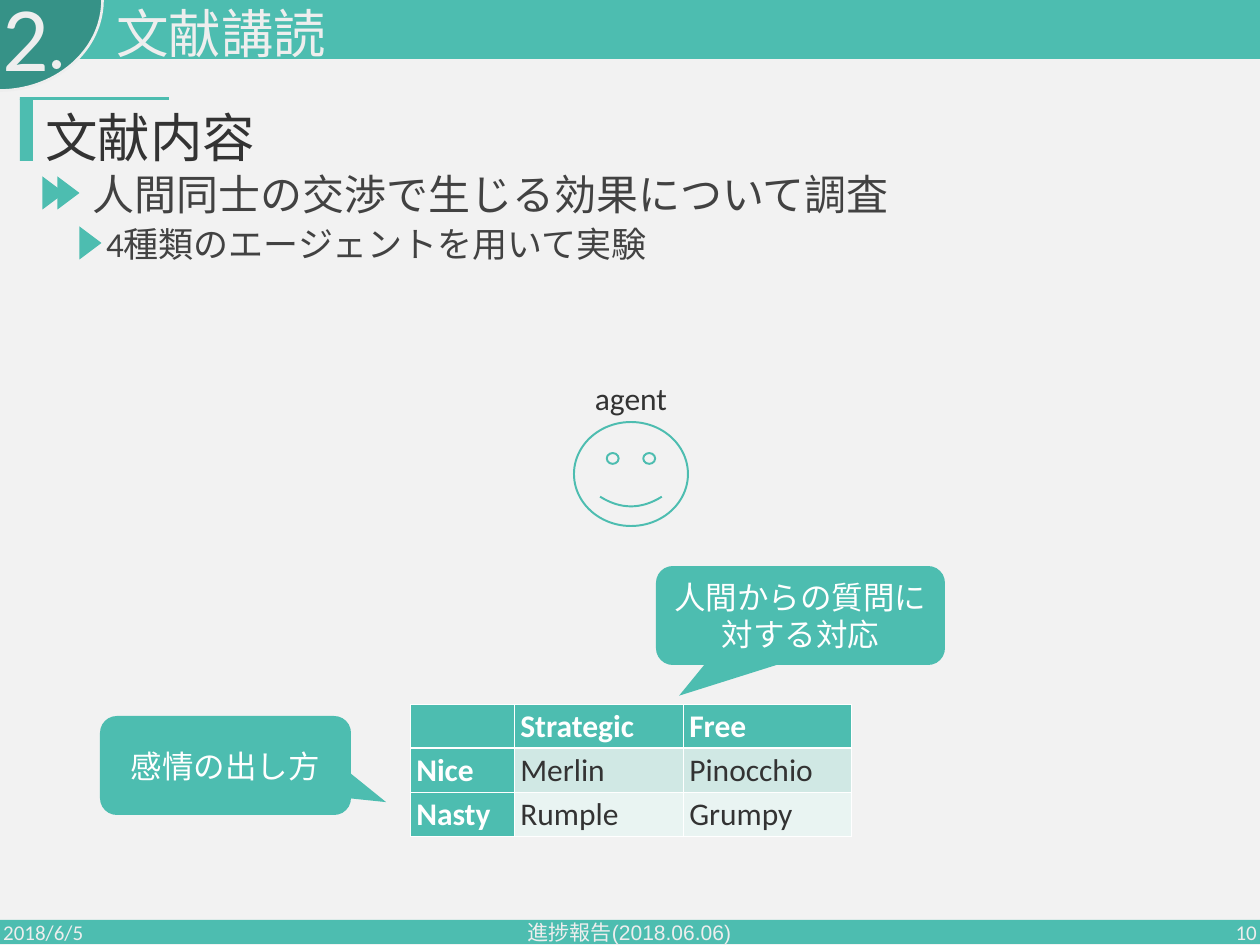
"""Builds the literature review slide with its agent table and callouts."""
import dataclasses

import lxml.etree
import pptx
import pptx.dml.color
import pptx.enum.shapes
import pptx.enum.text
import pptx.oxml.ns
import pptx.util

SHAPES = pptx.enum.shapes.MSO_SHAPE
ALIGN = pptx.enum.text.PP_ALIGN
ANCHOR = pptx.enum.text.MSO_ANCHOR


@dataclasses.dataclass(frozen=True)
class Theme:
    """Colours, fonts and type sizes."""
    background: str = "F2F2F2"
    accent: str = "4DBDB0"
    badge: str = "369287"
    light: str = "EEEEEE"
    white: str = "FFFFFF"
    dark: str = "333333"
    gray: str = "424242"
    bands: tuple = ("D0E8E4", "E9F4F2")
    font: str = "Calibri"
    footer_font: str = "Arial"
    number: int = 105
    title: int = 60
    point: int = 48
    subpoint: int = 40
    label: int = 36
    footer: int = 24


THEME = Theme()


def px(pixels):
    """Convert pixels to EMU at 63 pixels to the inch."""
    return pptx.util.Emu(round(pixels * 914400 / 63))


def rgb(colour):
    """Return the colour object for a hex string."""
    return pptx.dml.color.RGBColor.from_string(colour)


def write(frame, text, size=THEME.label, colour=THEME.dark, font=THEME.font,
          bold=False, align=ALIGN.LEFT, anchor=ANCHOR.TOP, line=None, before=None):
    """Put one formatted paragraph into a text frame."""
    frame.word_wrap = True
    frame.vertical_anchor = anchor
    paragraph = frame.paragraphs[0]
    paragraph.alignment = align
    if line:
        paragraph.line_spacing = line
    if before:
        paragraph.space_before = pptx.util.Pt(before)
    run = paragraph.add_run()
    run.text = text
    run.font.name = font
    run.font.size = pptx.util.Pt(size)
    run.font.bold = bold
    run.font.color.rgb = rgb(colour)


class SlideBuilder:
    """Adds styled elements to the current slide."""

    def __init__(self, slide, theme):
        """Keep the slide and theme and paint the background."""
        self.slide = slide
        self.theme = theme
        slide.background.fill.solid()
        slide.background.fill.fore_color.rgb = rgb(theme.background)

    def shape(self, kind, box, fill=THEME.accent, line=None, width=1, rotation=0):
        """Add a preset shape."""
        shape = self.slide.shapes.add_shape(kind, *map(px, box))
        shape.shadow.inherit = False
        shape.rotation = rotation
        if fill:
            shape.fill.solid()
            shape.fill.fore_color.rgb = rgb(fill)
        else:
            shape.fill.background()
        if line:
            shape.line.color.rgb = rgb(line)
            shape.line.width = pptx.util.Pt(width)
        else:
            shape.line.fill.background()
        return shape

    def text(self, text, box, **style):
        """Add a wrapping text box."""
        write(self.slide.shapes.add_textbox(*map(px, box)).text_frame, text, **style)

    def heading(self, text, box, **style):
        """Add a text box with the spacing of outline text."""
        self.text(text, box, line=0.9, before=20, **style)

    def marker(self, left, top):
        """Add a right-pointing triangle bullet."""
        self.shape(SHAPES.ISOSCELES_TRIANGLE, (left, top, 33, 22), rotation=90)

    def callout(self, text, box, tip):
        """Add a rounded callout whose tip is given relative to its size."""
        shape = self.shape(SHAPES.ROUNDED_RECTANGULAR_CALLOUT, box)
        for index, value in enumerate((*tip, 0.17)):
            shape.adjustments[index] = value
        write(shape.text_frame, text, colour=self.theme.white,
              align=ALIGN.CENTER, anchor=ANCHOR.MIDDLE)

    def borders(self, cell, bottom):
        """Draw white borders around a table cell."""
        properties = cell._tc.get_or_add_tcPr()
        for index, (side, width) in enumerate(zip("LRTB", (1, 1, 1, bottom))):
            line = lxml.etree.Element(pptx.oxml.ns.qn(f"a:ln{side}"),
                                      w=str(pptx.util.Pt(width)))
            fill = lxml.etree.SubElement(line, pptx.oxml.ns.qn("a:solidFill"))
            lxml.etree.SubElement(fill, pptx.oxml.ns.qn("a:srgbClr"),
                                  val=self.theme.white)
            properties.insert(index, line)

    def table(self, rows, left, top, widths, height):
        """Add a table with a header row, a header column and banded rows."""
        table = self.slide.shapes.add_table(
            len(rows), len(widths), px(left), px(top),
            px(sum(widths)), px(height * len(rows))).table
        for column, width in zip(table.columns, widths):
            column.width = px(width)
        for row_index, row in enumerate(rows):
            table.rows[row_index].height = px(height)
            for column_index, text in enumerate(row):
                cell = table.cell(row_index, column_index)
                header = row_index == 0 or column_index == 0
                cell.fill.solid()
                cell.fill.fore_color.rgb = rgb(
                    self.theme.accent if header else self.theme.bands[row_index - 1])
                self.borders(cell, 3 if row_index == 0 else 1)
                write(cell.text_frame, text, bold=header,
                      colour=self.theme.white if header else self.theme.dark)


def main():
    """Build and save the slide."""
    presentation = pptx.Presentation()
    presentation.slide_width, presentation.slide_height = px(1260), px(945)
    slide = presentation.slides.add_slide(presentation.slide_layouts[6])
    builder = SlideBuilder(slide, THEME)

    for bar in ((0, 920, 1260, 24), (0, 0, 1260, 59)):
        builder.shape(SHAPES.RECTANGLE, bar)
    builder.shape(SHAPES.ARC, (-91, -103, 181, 206), THEME.badge,
                  line=THEME.light, width=3, rotation=90)
    builder.shape(SHAPES.OVAL, (52, 60, 9, 9), THEME.light)

    footers = (
        ("2018/6/5", -3, 284, ALIGN.LEFT, THEME.font),
        ("進捗報告(2018.06.06)", 417, 425, ALIGN.CENTER, THEME.footer_font),
        ("10", 979, 284, ALIGN.RIGHT, THEME.font),
    )
    for text, left, width, align, font in footers:
        builder.text(text, (left, 907, width, 50), size=THEME.footer, font=font,
                     colour=THEME.light, align=align, anchor=ANCHOR.MIDDLE)

    builder.heading("文献講読", (110, 5, 918, 55), size=THEME.title, colour=THEME.light)
    builder.heading("2", (-4, -11, 444, 98), size=THEME.number, colour=THEME.light)

    for bar in ((20, 99, 13, 62), (20, 97, 149, 3)):
        builder.shape(SHAPES.RECTANGLE, bar)
    for left, top in ((37, 182), (52, 182), (74, 232)):
        builder.marker(left, top)
    builder.heading("文献内容", (39, 109, 1192, 96), size=THEME.title)
    builder.heading("人間同士の交渉で生じる効果について調査", (86, 171, 1170, 118),
                    size=THEME.point, colour=THEME.gray)
    builder.heading("4種類のエージェントを用いて実験", (100, 224, 1112, 59),
                    size=THEME.subpoint, colour=THEME.gray)

    builder.shape(SHAPES.SMILEY_FACE, (574, 422, 114, 104), fill=None,
                  line=THEME.accent, width=2.25)
    builder.text("agent", (571, 376, 120, 45), align=ALIGN.CENTER)

    builder.table((("", "Strategic", "Free"),
                   ("Nice", "Merlin", "Pinocchio"),
                   ("Nasty", "Rumple", "Grumpy")),
                  410, 704, (104, 169, 168), 44)
    builder.callout("人間からの質問に対する対応", (656, 566, 289, 99), (-0.42, 0.81))
    builder.callout("感情の出し方", (100, 716, 251, 99), (0.64, 0.37))

    presentation.save("out.pptx")


main()
